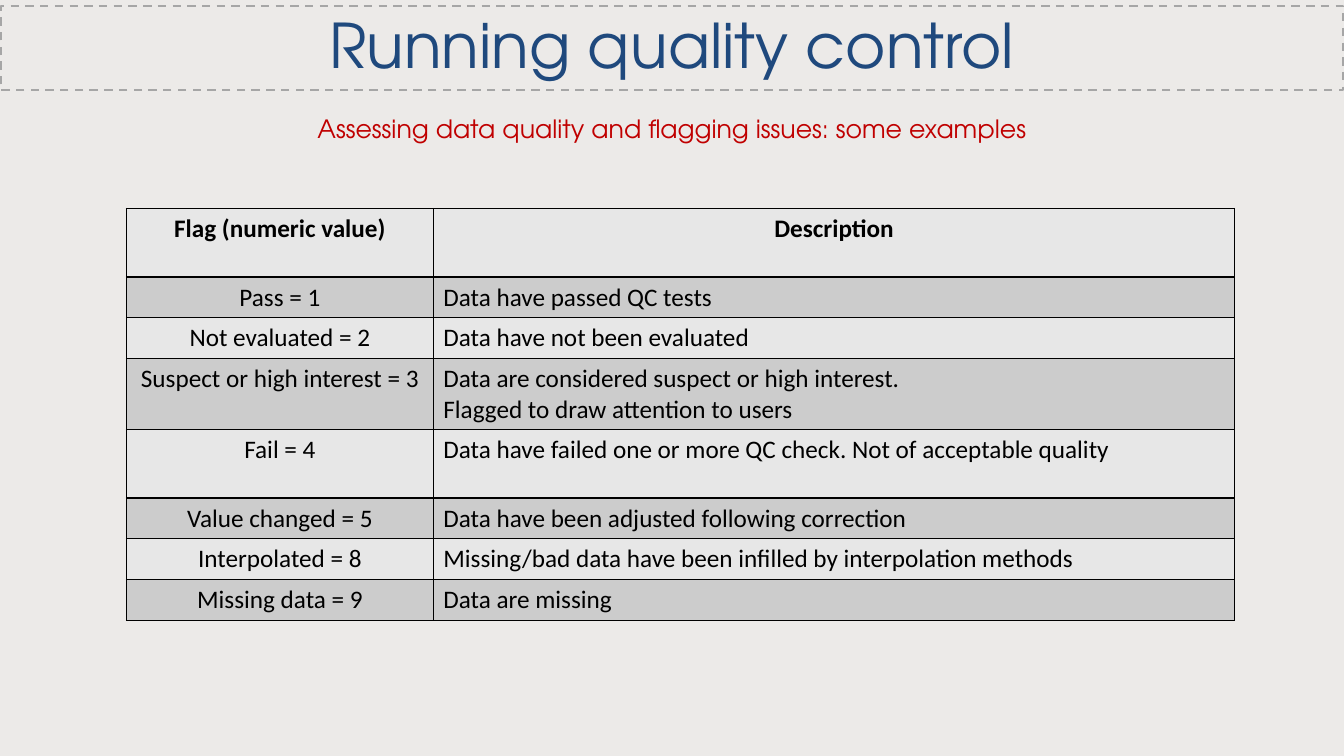
import pptx
import pptx.util
import pptx.dml.color
import pptx.enum.shapes
import pptx.enum.text
import pptx.enum.dml
import pptx.oxml
import pptx.oxml.ns

Cm = pptx.util.Cm
Pt = pptx.util.Pt
RGBColor = pptx.dml.color.RGBColor
ALIGN = pptx.enum.text.PP_ALIGN
ANCHOR = pptx.enum.text.MSO_ANCHOR

TAUPE = RGBColor(0x82, 0x76, 0x6A)
GREY = RGBColor(0xA6, 0xA6, 0xA6)
NAVY = RGBColor(0x1F, 0x49, 0x7D)
RED = RGBColor(0xC0, 0x00, 0x00)
BLACK = RGBColor(0x00, 0x00, 0x00)
LIGHT = RGBColor(0xE7, 0xE7, 0xE7)
DARK = RGBColor(0xCC, 0xCC, 0xCC)

HEAD_FONT = "TeX Gyre Adventor"
BODY_FONT = "Calibri"
WIDE, HIGH = 33.87, 19.05

FLAGS = [
    ("Flag (numeric value)", "Description", 1.73),
    ("Pass = 1", "Data have passed QC tests", 1.03),
    ("Not evaluated = 2", "Data have not been evaluated", 1.03),
    ("Suspect or high interest = 3",
     "Data are considered suspect or high interest.\n"
     "Flagged to draw attention to users", 1.73),
    ("Fail = 4",
     "Data have failed one or more QC check. Not of acceptable quality", 1.73),
    ("Value changed = 5", "Data have been adjusted following correction", 1.03),
    ("Interpolated = 8",
     "Missing/bad data have been infilled by interpolation methods", 1.03),
    ("Missing data = 9", "Data are missing", 1.03),
]


def put_text(frame, text, size=18, font=BODY_FONT, color=BLACK, bold=False,
             align=ALIGN.CENTER, space=1.0):
    frame.word_wrap = True
    frame.text = text
    for para in frame.paragraphs:
        para.alignment = align
        para.line_spacing = space
        para.space_before = Pt(0)
        for run in para.runs:
            run.font.size = Pt(size)
            run.font.name = font
            run.font.bold = bold
            run.font.color.rgb = color


def edge_cell(cell):
    """Draw a thin black border on all four sides."""
    props = cell._tc.get_or_add_tcPr()
    for spot, side in enumerate(("lnL", "lnR", "lnT", "lnB")):
        props.insert(spot, pptx.oxml.parse_xml(
            f'<a:{side} {pptx.oxml.ns.nsdecls("a")} w="12192">'
            f'<a:solidFill><a:srgbClr val="{BLACK}"/></a:solidFill></a:{side}>'))


def add_back(slide, left, top, width, height):
    wash = slide.shapes.add_shape(
        pptx.enum.shapes.MSO_SHAPE.RECTANGLE,
        Cm(left), Cm(top), Cm(width), Cm(height))
    wash.shadow.inherit = False
    wash.line.fill.background()
    wash.fill.solid()
    wash.fill.fore_color.rgb = TAUPE
    tint = wash._element.spPr.find(".//" + pptx.oxml.ns.qn("a:srgbClr"))
    tint.append(pptx.oxml.parse_xml(
        f'<a:alpha {pptx.oxml.ns.nsdecls("a")} val="15000"/>'))
    # Send the wash behind the title
    slide.shapes._spTree.insert(2, wash._element)


def add_head(slide, left, top, width, height):
    # Title in its dashed frame
    title = slide.shapes.title
    title.left, title.top = Cm(left), Cm(top)
    title.width, title.height = Cm(width), Cm(height)
    title.line.color.rgb = GREY
    title.line.width = Pt(1.5)
    title.line.dash_style = pptx.enum.dml.MSO_LINE.DASH
    frame = title.text_frame
    frame.auto_size = pptx.enum.text.MSO_AUTO_SIZE.NONE
    frame.vertical_anchor = ANCHOR.MIDDLE
    put_text(frame, "Running quality control", size=44, font=HEAD_FONT,
             color=NAVY, space=0.9)
    # Subtitle below the frame
    note = slide.shapes.add_textbox(
        Cm(left), Cm(top + 2.59), Cm(width), Cm(1.03))
    put_text(note.text_frame,
             "Assessing data quality and flagging issues: some examples",
             font=HEAD_FONT, color=RED)


def add_flags(slide, left, top, width, height):
    table = slide.shapes.add_table(
        len(FLAGS), 2, Cm(left), Cm(top), Cm(width), Cm(height)).table
    table.first_row = table.horz_banding = False
    first = 7.73
    table.columns[0].width = Cm(first)
    table.columns[1].width = Cm(width - first)
    for row, (flag, about, tall) in enumerate(FLAGS):
        table.rows[row].height = Cm(tall)
        for col, text in enumerate((flag, about)):
            cell = table.cell(row, col)
            cell.fill.solid()
            cell.fill.fore_color.rgb = DARK if row % 2 else LIGHT
            left_text = row > 0 and col == 1
            put_text(cell.text_frame, text, bold=row == 0,
                     align=ALIGN.LEFT if left_text else ALIGN.CENTER)
            edge_cell(cell)


def main():
    deck = pptx.Presentation()
    deck.slide_width, deck.slide_height = Cm(WIDE), Cm(HIGH)
    slide = deck.slides.add_slide(deck.slide_layouts[5])
    add_back(slide, 0, 0, WIDE, HIGH)
    add_head(slide, 0.02, 0.15, 33.83, 2.13)
    add_flags(slide, 3.19, 5.25, 27.93, 10.34)
    deck.save("out.pptx")


if __name__ == "__main__":
    main()
